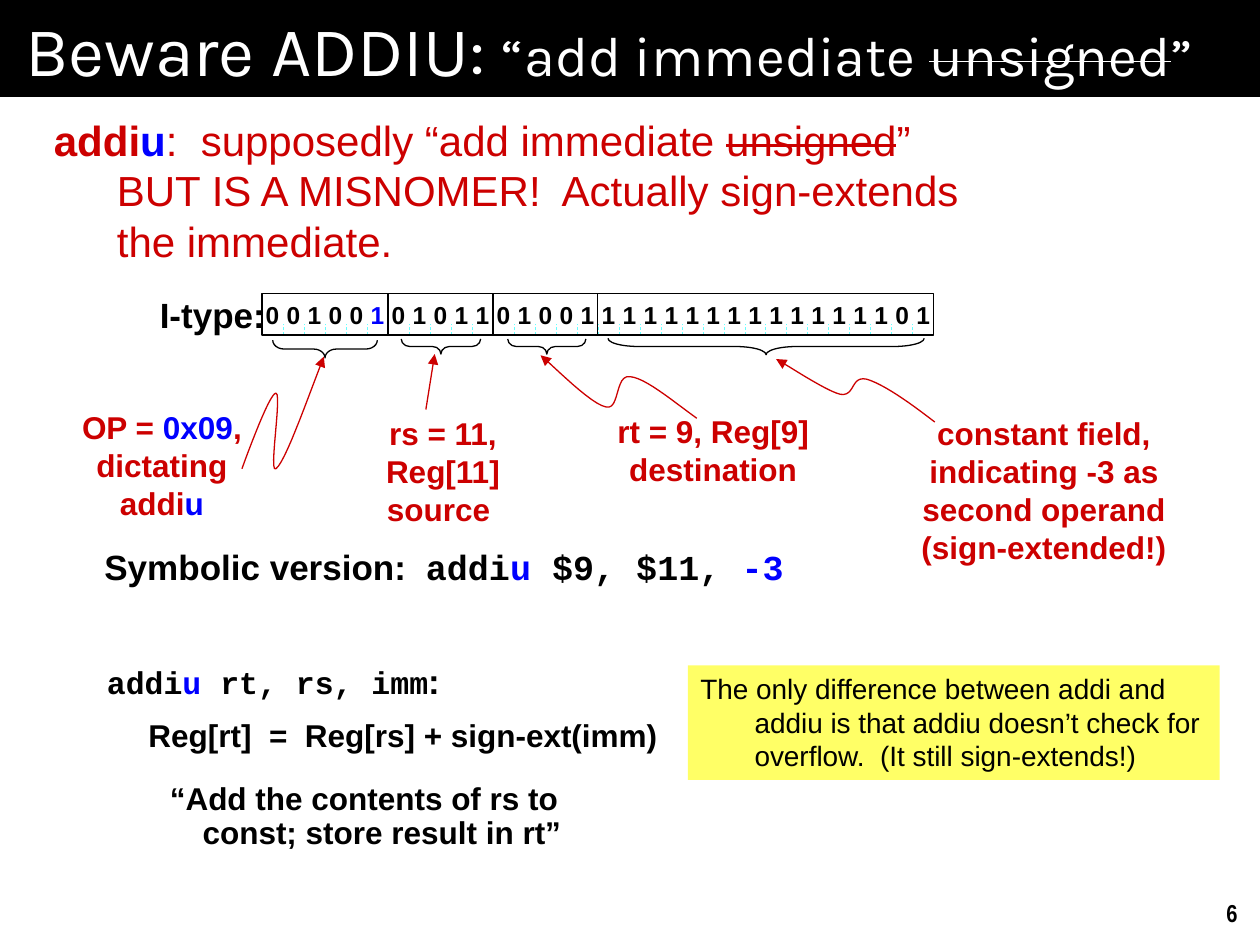
from lxml import etree
from pptx import Presentation
from pptx import util as u
from pptx.dml.color import RGBColor
from pptx.enum import dml, shapes, text
from pptx.oxml import ns

BLACK = RGBColor(0, 0, 0)
WHITE = RGBColor(0xFF, 0xFF, 0xFF)
RED = RGBColor(0xCC, 0, 0)
BLUE = RGBColor(0, 0, 0xFF)
CYAN = RGBColor(0x66, 0xFF, 0xFF)
YELLOW = RGBColor(0xFF, 0xFF, 0x66)

MONO = "Courier New"
LEFT, MID, RIGHT = (text.PP_ALIGN.LEFT, text.PP_ALIGN.CENTER,
                    text.PP_ALIGN.RIGHT)
FIELDS = ("001001", "01011", "01001", "1111111111111101")


def lay(box):
    return [u.Inches(v) for v in box]


def write(frame, paras, size, color=BLACK, bold=True, font="Arial",
          align=LEFT, space=None, hang=0, wrap=True):
    """Each paragraph is a list of runs: (text, {changes})."""
    frame.word_wrap = wrap
    for i, runs in enumerate(paras):
        para = frame.add_paragraph() if i else frame.paragraphs[0]
        para.alignment = align
        para.line_spacing = space
        if hang:
            props = para._p.get_or_add_pPr()
            props.set("marL", str(u.Inches(hang)))
            props.set("indent", str(-u.Inches(hang)))
        for words, new in runs:
            if words == "\n":
                para.add_line_break()
                continue
            run = para.add_run()
            run.text = words
            run.font.size = u.Pt(new.get("size", size))
            run.font.name = new.get("font", font)
            run.font.bold = new.get("bold", bold)
            run.font.color.rgb = new.get("color", color)
            if new.get("strike"):
                run._r.get_or_add_rPr().set("strike", "sngStrike")


def label(slide, box, paras, size, **style):
    shape = slide.shapes.add_textbox(*lay(box))
    write(shape.text_frame, paras, size, **style)


def block(slide, box, fill=None, line=None, kind=shapes.MSO_SHAPE.RECTANGLE):
    shape = slide.shapes.add_shape(kind, *lay(box))
    shape.shadow.inherit = False
    if fill is None:
        shape.fill.background()
    else:
        shape.fill.solid()
        shape.fill.fore_color.rgb = fill
    if line is None:
        shape.line.fill.background()
    else:
        shape.line.color.rgb = line
        shape.line.width = u.Pt(0.75)
    return shape


def rule(slide, start, end, color, width=0.75):
    line = slide.shapes.add_connector(
        shapes.MSO_CONNECTOR.STRAIGHT, *lay(start + end))
    line.line.color.rgb = color
    line.line.width = u.Pt(width)
    etree.SubElement(line._element.spPr, ns.qn("a:effectLst"))
    return line


def point(shape):
    """Put an arrowhead at the end of a line."""
    tail = etree.SubElement(shape.line._get_or_add_ln(), ns.qn("a:tailEnd"))
    tail.set("type", "triangle")


def curve(slide, pts, steps=12):
    """Trace joined cubic curves through the points, with an arrowhead."""
    trace = []
    for i in range(0, len(pts) - 1, 3):
        for k in range(1, steps + 1):
            t = k / steps
            parts = ((1 - t) ** 3, 3 * t * (1 - t) ** 2,
                     3 * t * t * (1 - t), t ** 3)
            trace.append(tuple(
                u.Inches(sum(c * p[axis]
                             for c, p in zip(parts, pts[i:i + 4])))
                for axis in (0, 1)))
    pen = slide.shapes.build_freeform(*lay(pts[0]), scale=1.0)
    pen.add_line_segments(trace, close=False)
    shape = pen.convert_to_shape()
    shape.shadow.inherit = False
    shape.fill.background()
    shape.line.color.rgb = RED
    shape.line.width = u.Pt(0.75)
    point(shape)


def title(slide, box):
    bar = block(slide, box, BLACK)
    frame = bar.text_frame
    frame.margin_left = frame.margin_right = u.Inches(0.2)
    frame.vertical_anchor = text.MSO_ANCHOR.MIDDLE
    write(frame, [[("Beware ADDIU: ", {"size": 40}), ("“add immediate ", {}),
                   ("unsigned", {"strike": True}), ("”", {})]],
          32, color=WHITE, bold=False, font="Karla")


def intro(slide, box):
    label(slide, box, [
        [("addi", {"bold": True}), ("u", {"bold": True, "color": BLUE}),
         (":  supposedly “add immediate ", {}),
         ("unsigned", {"strike": True}), ("”", {})],
        [("\tBUT IS A MISNOMER!  Actually sign-extends", {})],
        [("\tthe immediate.", {})]], 24, color=RED, bold=False, wrap=False)


def word(slide, box):
    """The 32-bit word: ticks, frame, field borders and digits."""
    x, y, w, h = box
    bits = "".join(FIELDS)
    cell = w / len(bits)
    for i in range(1, len(bits)):
        tick = rule(slide, (x + i * cell, y + h),
                    (x + i * cell, y + h - 0.09), CYAN, 0.25)
        tick.line.dash_style = dml.MSO_LINE.LONG_DASH
    block(slide, box, line=BLACK).line.width = u.Pt(1)
    edge = x
    for field in FIELDS[:-1]:
        edge += len(field) * cell
        rule(slide, (edge, y), (edge, y + h), BLACK)
    for i, bit in enumerate(bits):
        color = BLUE if i == len(FIELDS[0]) - 1 else BLACK
        label(slide, (x + (i + 0.5) * cell - 0.16, y, 0.32, h),
              [[(bit, {})]], 14, color=color, align=MID, wrap=False)
    label(slide, (x - 0.91, y - 0.05, 1.04, 0.44),
          [[("I-type:", {})]], 20, wrap=False)


def callout(slide, mid, brace, box, paras, pts):
    """A brace centred on mid; label and arrow are offsets from it."""
    x, y = mid
    span, deep, bend = brace
    mark = block(slide, (x - deep / 2, y - span / 2, deep, span),
                 line=BLACK, kind=shapes.MSO_SHAPE.LEFT_BRACE)
    mark.adjustments[0] = bend
    mark.rotation = 270
    pts = [(x + dx, y + dy) for dx, dy in pts]
    if len(pts) == 2:
        point(rule(slide, *pts, RED))
    else:
        curve(slide, pts)
    dx, dy, w, h = box
    label(slide, (x + dx, y + dy, w, h), paras, 18, color=RED, align=MID)


def fields(slide, box):
    x, y = box[:2]
    blue = {"color": BLUE}
    callout(slide, (x + 0.5, y + 0.44), (0.83, 0.14, 0.65),
            (-2.17, 0.42, 1.75, 1.01),
            [[("OP = ", {}), ("0x09", blue), (", dictating addi", {}),
              ("u", blue)]],
            [(-0.66, 0.95), (-0.55, 0.65), (-0.43, 0.35), (-0.39, 0.35),
             (-0.34, 0.35), (-0.45, 1), (-0.39, 0.95),
             (-0.32, 0.9), (-0.17, 0.48), (-0.01, 0.06)])
    callout(slide, (x + 1.42, y + 0.42), (0.63, 0.12, 0.56),
            (-0.96, 0.49, 1.95, 1.01),
            [[("rs = 11, Reg[11]", {}), ("\n", {}), ("source ", {})]],
            [(-0.12, 0.5), (-0.05, 0.06)])
    callout(slide, (x + 2.26, y + 0.42), (0.62, 0.12, 0.56),
            (0.41, 0.47, 1.82, 0.7),
            [[("rt = 9, Reg[9] destination", {})]],
            [(1.19, 0.57), (0.97, 0.41), (0.78, 0.25), (0.66, 0.24),
             (0.54, 0.22), (0.58, 0.51), (0.47, 0.48),
             (0.35, 0.46), (0.06, 0.16), (-0.05, 0.07)])
    callout(slide, (x + 4, y + 0.42), (2.51, 0.13, 1.88),
            (0.91, 0.49, 2.59, 1.31),
            [[("constant field, indicating -3 as second operand", {})],
             [("(sign-extended!)", {})]],
            [(1.34, 0.6), (1.12, 0.43), (0.93, 0.3), (0.8, 0.26),
             (0.67, 0.23), (0.71, 0.4), (0.59, 0.38),
             (0.47, 0.35), (0.19, 0.16), (0.08, 0.1)])


def meaning(slide, box):
    """Symbolic form and what the instruction does."""
    x, y, w, _ = box
    code = {"font": MONO}
    blue = {"font": MONO, "color": BLUE}
    label(slide, (x, y, w, 0.41),
          [[("Symbolic version:  ", {}), ("addi", code), ("u", blue),
            (" $9, $11, ", code), ("-3", blue)]], 20, space=0.9)
    label(slide, (x + 0.02, y + 0.9, 2.87, 0.41),
          [[("addi", code), ("u ", blue), ("rt, rs, imm", code),
            (":", {"size": 20})]], 18, space=0.9, wrap=False)
    label(slide, (x + 0.35, y + 1.35, 4.27, 0.38),
          [[("Reg[rt]  =  Reg[rs] + sign-ext(imm)", {})]],
          18, space=0.9, wrap=False)
    label(slide, (x + 0.52, y + 1.85, 3.74, 0.65),
          [[("“Add the contents of rs to const; store result in rt”", {})]],
          18, space=0.9, hang=0.26)


def note(slide, box):
    frame = block(slide, box, YELLOW).text_frame
    frame.vertical_anchor = text.MSO_ANCHOR.TOP
    write(frame, [[("The only difference between addi and addiu is that addiu "
                    "doesn’t check for overflow.  (It still sign-extends!)",
                    {})]], 16, bold=False, hang=0.43)


def main():
    deck = Presentation()
    deck.slide_width, deck.slide_height = u.Inches(10), u.Inches(7.5)
    slide = deck.slides.add_slide(deck.slide_layouts[6])
    strip = (2.08, 2.33, 5.33, 0.33)
    title(slide, (0, 0, 10, 0.77))
    intro(slide, (0.33, 0.86, 7.96, 1.31))
    fields(slide, strip)
    word(slide, strip)
    meaning(slide, (0.73, 4.32, 8.52, 2.5))
    note(slide, (5.46, 5.28, 4.22, 0.91))
    # Page number
    label(slide, (9.5, 7.08, 0.42, 0.33), [[("6", {})]], 14,
          font="Arial Narrow", align=RIGHT)
    deck.save("out.pptx")


if __name__ == "__main__":
    main()
